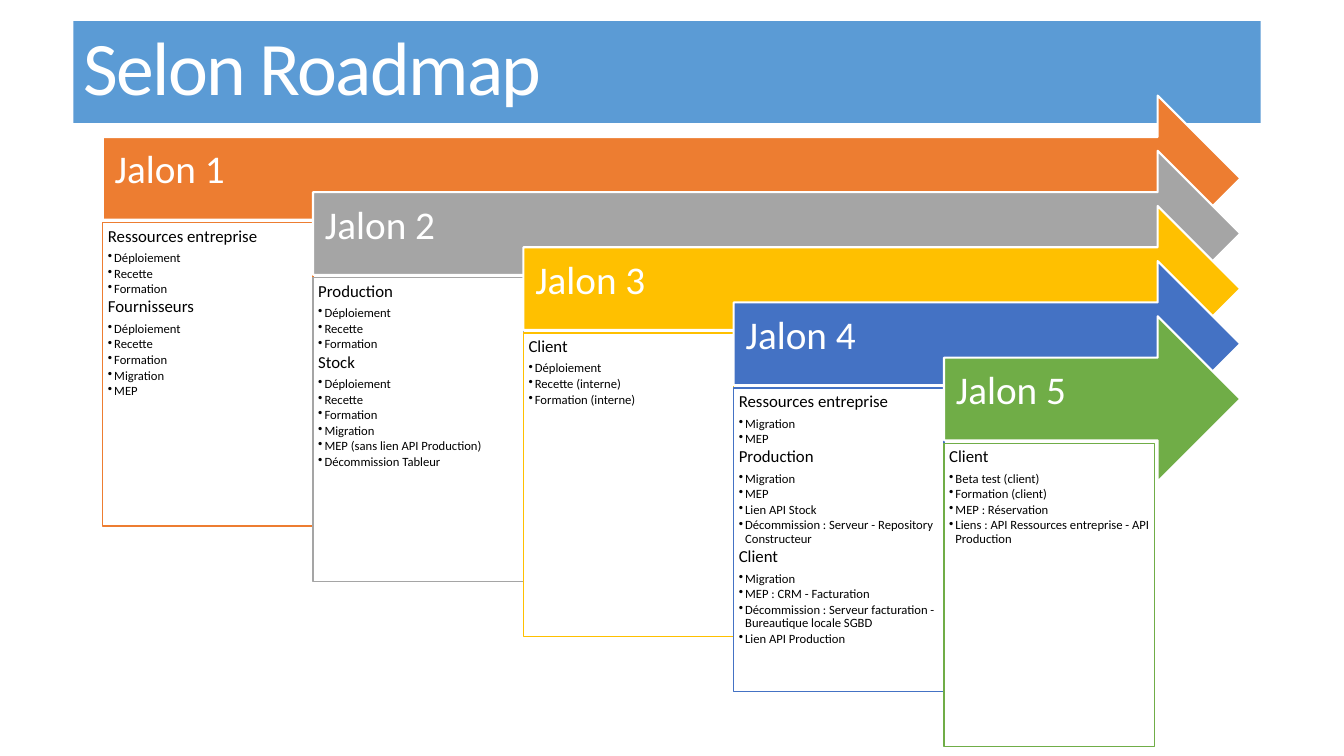
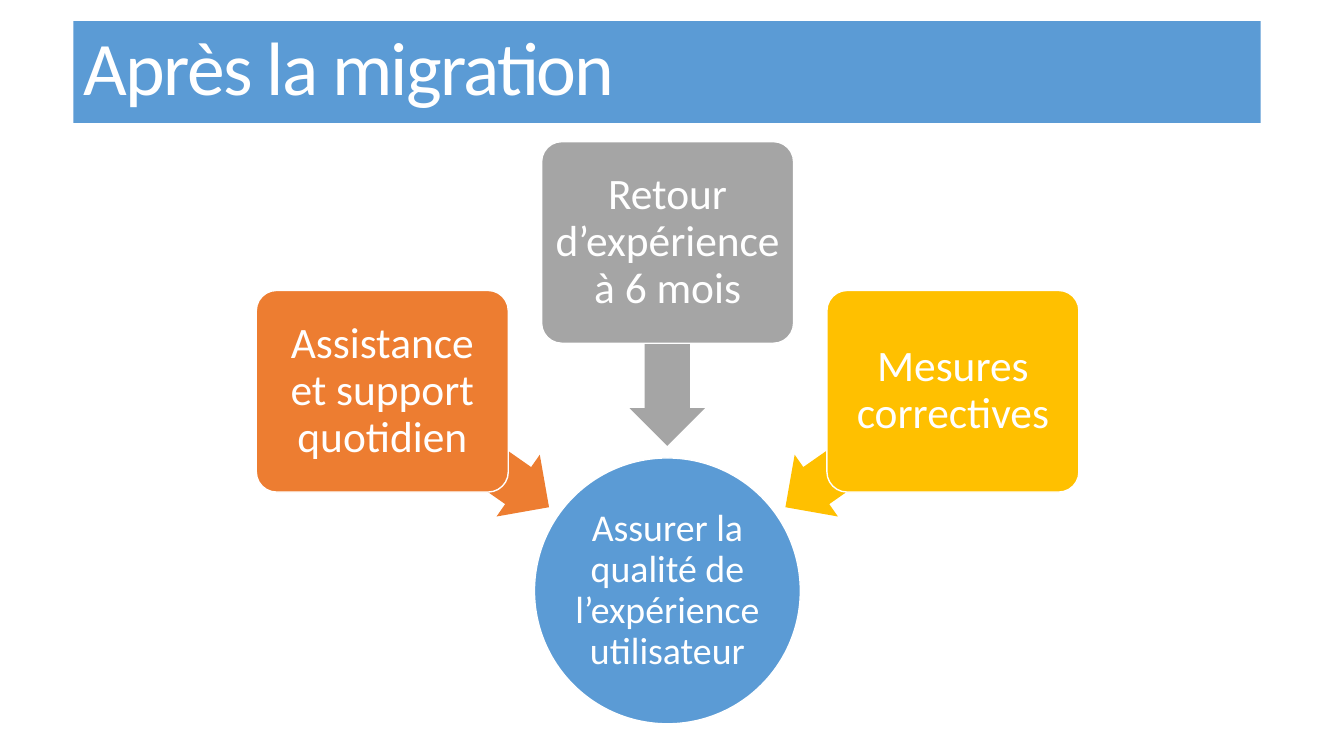
"""Build the two slides on the migration roadmap and its follow-up."""
from dataclasses import dataclass
from typing import Any

from lxml.etree import SubElement
from pptx import Presentation
from pptx.dml.color import RGBColor
from pptx.enum.shapes import MSO_SHAPE as Preset
from pptx.enum.text import MSO_ANCHOR as Anchor
from pptx.enum.text import MSO_AUTO_SIZE as AutoSize
from pptx.enum.text import PP_ALIGN as Align
from pptx.oxml.ns import qn
from pptx.slide import Slide
from pptx.util import Cm, Pt

COLORS = {
    "blue": "5B9BD5",
    "orange": "ED7D31",
    "gray": "A5A5A5",
    "gold": "FFC000",
    "navy": "4472C4",
    "green": "70AD47",
    "white": "FFFFFF",
    "black": "000000",
}
FONT = "Calibri"
TITLE_ONLY = 5

TITLE_BOX = {"left": Cm(1.85), "top": Cm(0.53), "width": Cm(29.92), "height": Cm(2.57)}
TITLE_FRAME = {
    "vertical_anchor": Anchor.MIDDLE,
    "auto_size": AutoSize.NONE,
    "word_wrap": True,
}
TITLE_PARAGRAPH = {"alignment": Align.LEFT, "line_spacing": 0.85}
LABEL_PARAGRAPH = {"alignment": Align.LEFT, "line_spacing": 0.9}
CENTERED_PARAGRAPH = {"alignment": Align.CENTER, "line_spacing": 0.9}
HEADING_PARAGRAPH = {**LABEL_PARAGRAPH, "space_after": Pt(4.2)}
BULLET_PARAGRAPH = {**LABEL_PARAGRAPH, "space_after": Pt(1.35)}


@dataclass(frozen=True)
class Section:
    heading: str
    tasks: tuple[str, ...]


@dataclass(frozen=True)
class Milestone:
    label: str
    color: str
    sections: tuple[Section, ...]


@dataclass(frozen=True)
class Measure:
    text: str
    color: str
    box_top: float
    arrow_top: float


MILESTONES = (
    Milestone("Jalon 1", "orange", (
        Section("Ressources entreprise", ("Déploiement", "Recette", "Formation")),
        Section("Fournisseurs", (
            "Déploiement", "Recette", "Formation", "Migration", "MEP",
        )),
    )),
    Milestone("Jalon 2", "gray", (
        Section("Production", ("Déploiement", "Recette", "Formation")),
        Section("Stock", (
            "Déploiement", "Recette", "Formation", "Migration",
            "MEP (sans lien API Production)", "Décommission Tableur",
        )),
    )),
    Milestone("Jalon 3", "gold", (
        Section("Client", ("Déploiement", "Recette (interne)", "Formation (interne)")),
    )),
    Milestone("Jalon 4", "navy", (
        Section("Ressources entreprise", ("Migration", "MEP")),
        Section("Production", (
            "Migration", "MEP", "Lien API Stock",
            "Décommission : Serveur - Repository Constructeur",
        )),
        Section("Client", (
            "Migration", "MEP : CRM - Facturation",
            "Décommission : Serveur facturation - Bureautique locale SGBD",
            "Lien API Production",
        )),
    )),
    Milestone("Jalon 5", "green", (
        Section("Client", (
            "Beta test (client)", "Formation (client)", "MEP : Réservation",
            "Liens : API Ressources entreprise - API Production",
        )),
    )),
)
MEASURES = (
    Measure("Assistance et support quotidien", "orange", 7.32, 10.36),
    Measure("Retour d’expérience à 6 mois", "gray", 3.57, 7.72),
    Measure("Mesures correctives", "gold", 7.32, 10.36),
)


def apply_format(target: Any, values: dict[str, Any]) -> None:
    for name, value in values.items():
        setattr(target, name, value)


def rgb(color: str) -> RGBColor:
    return RGBColor.from_string(COLORS[color])


def fill_shape(shape: Any, color: str) -> None:
    shape.fill.solid()
    shape.fill.fore_color.rgb = rgb(color)


def add_box(
    slide: Slide, preset: Preset, box: tuple[float, float, float, float],
    fill: str, line: str | None = None, line_width: float = 1,
) -> Any:
    shape = slide.shapes.add_shape(preset, *(Cm(length) for length in box))
    shape.shadow.inherit = False
    fill_shape(shape, fill)
    if line:
        shape.line.color.rgb = rgb(line)
        shape.line.width = Pt(line_width)
    else:
        shape.line.fill.background()
    return shape


def set_frame(shape: Any, anchor: Anchor, insets: tuple[float, ...]) -> None:
    sides = ("margin_left", "margin_top", "margin_right", "margin_bottom")
    margins = {side: Cm(inset) for side, inset in zip(sides, insets)}
    apply_format(
        shape.text_frame, {"vertical_anchor": anchor, "word_wrap": True, **margins}
    )


def write_text(
    paragraph: Any, text: str, size: float, color: str, values: dict[str, Any]
) -> Any:
    apply_format(paragraph, values)
    run = paragraph.add_run()
    run.text = text
    apply_format(run.font, {"name": FONT, "size": Pt(size)})
    run.font.color.rgb = rgb(color)
    return run


def add_bullet(paragraph: Any, color: str) -> None:
    properties = paragraph._p.get_or_add_pPr()
    indent = Cm(0.16)
    properties.set("marL", str(indent))
    properties.set("indent", str(-indent))
    bullet_color = SubElement(properties, qn("a:buClr"))
    SubElement(bullet_color, qn("a:srgbClr")).set("val", COLORS[color])
    SubElement(properties, qn("a:buChar")).set("char", "•")


def add_titled_slide(presentation: Any, text: str) -> Slide:
    slide = presentation.slides.add_slide(presentation.slide_layouts[TITLE_ONLY])
    title = slide.shapes.title
    apply_format(title, TITLE_BOX)
    fill_shape(title, "blue")
    apply_format(title.text_frame, TITLE_FRAME)
    run = write_text(
        title.text_frame.paragraphs[0], text, 54, "white", TITLE_PARAGRAPH
    )
    run.font._element.set("spc", "-120")
    return slide


def write_sections(shape: Any, sections: tuple[Section, ...]) -> None:
    frame = shape.text_frame
    for index, section in enumerate(sections):
        heading = frame.add_paragraph() if index else frame.paragraphs[0]
        write_text(heading, section.heading, 12, "black", HEADING_PARAGRAPH)
        for task in section.tasks:
            paragraph = frame.add_paragraph()
            write_text(paragraph, task, 9, "black", BULLET_PARAGRAPH)
            add_bullet(paragraph, "black")


def add_milestone(slide: Slide, index: int, milestone: Milestone) -> None:
    column_width, right_edge = 5.3, 31.26
    left = 2.59 + index * column_width
    top = 2.41 + index * 1.39
    arrow = add_box(
        slide, Preset.RIGHT_ARROW, (left, top, right_edge - left, 4.17),
        milestone.color, "white", 1.5,
    )
    set_frame(arrow, Anchor.MIDDLE, (0.3, 0.3, 0.71, 0.66))
    write_text(
        arrow.text_frame.paragraphs[0], milestone.label, 28, "white", LABEL_PARAGRAPH
    )
    panel = add_box(
        slide, Preset.RECTANGLE, (left, top + 3.2, column_width, 7.65),
        "white", milestone.color,
    )
    set_frame(panel, Anchor.TOP, (0.13,) * 4)
    write_sections(panel, milestone.sections)


def add_measure(slide: Slide, index: int, measure: Measure) -> None:
    arrow = add_box(
        slide, Preset.LEFT_ARROW, (9.17 + index * 5.08, measure.arrow_top, 5.13, 1.9),
        measure.color,
    )
    arrow.adjustments[0] = 0.6
    arrow.rotation = 215 + index * 55
    card = add_box(
        slide, Preset.ROUNDED_RECTANGLE,
        (6.46 + index * 7.19, measure.box_top, 6.35, 5.08), measure.color, "white",
    )
    card.adjustments[0] = 0.1
    set_frame(card, Anchor.MIDDLE, (0.15,) * 4)
    write_text(
        card.text_frame.paragraphs[0], measure.text, 31, "white", CENTERED_PARAGRAPH
    )


def build_roadmap(presentation: Any) -> None:
    slide = add_titled_slide(presentation, "Selon Roadmap")
    for index, milestone in enumerate(MILESTONES):
        add_milestone(slide, index, milestone)


def build_follow_up(presentation: Any) -> None:
    slide = add_titled_slide(presentation, "Après la migration")
    goal = add_box(slide, Preset.OVAL, (13.47, 11.54, 6.7, 6.7), "blue", "white")
    set_frame(goal, Anchor.MIDDLE, (0.05,) * 4)
    write_text(
        goal.text_frame.paragraphs[0],
        "Assurer la qualité de l’expérience utilisateur",
        27, "white", CENTERED_PARAGRAPH,
    )
    for index, measure in enumerate(MEASURES):
        add_measure(slide, index, measure)


def main() -> None:
    presentation = Presentation()
    apply_format(presentation, {"slide_width": Cm(33.87), "slide_height": Cm(19.05)})
    build_roadmap(presentation)
    build_follow_up(presentation)
    presentation.save("out.pptx")


if __name__ == "__main__":
    main()
